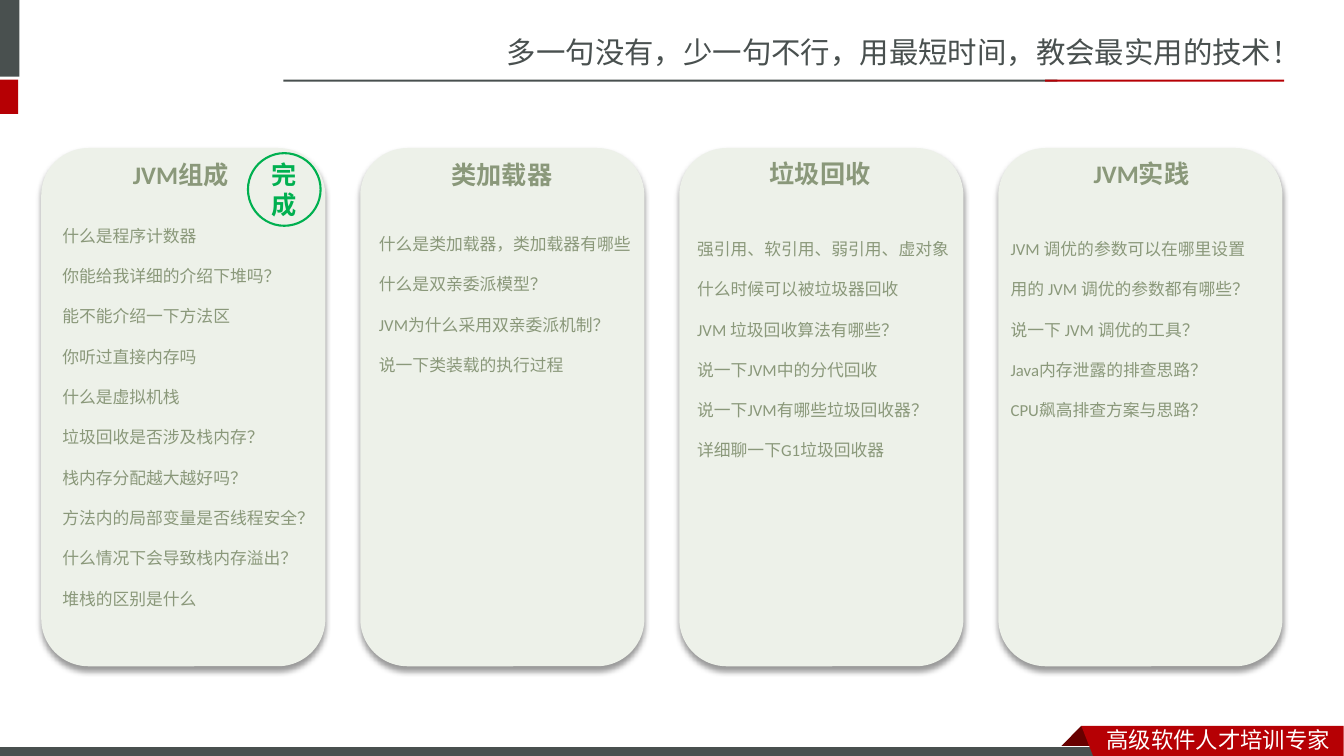
from dataclasses import dataclass

from lxml.etree import SubElement
from pptx import Presentation
from pptx.dml.color import RGBColor
from pptx.enum.shapes import MSO_SHAPE
from pptx.enum.text import MSO_ANCHOR, MSO_AUTO_SIZE, PP_ALIGN
from pptx.oxml.ns import qn
from pptx.shapes.autoshape import Shape
from pptx.slide import Slide
from pptx.util import Cm, Pt

GREY = RGBColor(0x49, 0x50, 0x4F)
RED = RGBColor(0xB6, 0x00, 0x04)
MAROON = RGBColor(0x68, 0x00, 0x00)
WHITE = RGBColor(0xFF, 0xFF, 0xFF)
PALE = RGBColor(0xED, 0xF1, 0xE9)
SAGE = RGBColor(0x8A, 0x98, 0x7A)
GREEN = RGBColor(0x00, 0xB0, 0x50)
SANS = "Noto Sans CJK SC"
LATIN = "Calibri"
PITCH = Pt(28.8)
Box = tuple[float, float, float, float]
Point = tuple[float, float]


@dataclass(frozen=True)
class Style:
    """Look of a run of text."""
    font: str
    size: float
    color: RGBColor
    bold: bool = False


@dataclass(frozen=True)
class Bar:
    """Plain coloured strip."""
    box: Box
    color: RGBColor


@dataclass(frozen=True)
class Topic:
    """Card with a heading and its questions."""
    name: str
    head: Point
    body: Point
    lines: tuple[str, ...]
    font: str = LATIN


BARS = (
    Bar((-0.15, 0, 0.64, 1.93), GREY),
    Bar((-0.15, 2.01, 0.61, 0.86), RED),
    Bar((7.14, 2.01, 19.51, 0.05), GREY),
    Bar((26.34, 2.01, 6.02, 0.05), RED),
)
FOLD = ((27.25, 18.29), (27.81, 18.85), (27.79, 18.87), (26.72, 18.87), (26.7, 18.85))
RIBBON = ((27.25, 18.29), (33.86, 18.29), (33.86, 19.15), (27.58, 19.13))
TOPICS = (
    Topic("JVM组成", (3.1, 3.89), (1.32, 5.05), (
        "什么是程序计数器",
        "你能给我详细的介绍下堆吗？",
        "能不能介绍一下方法区",
        "你听过直接内存吗",
        "什么是虚拟机栈",
        "垃圾回收是否涉及栈内存？",
        "栈内存分配越大越好吗？",
        "方法内的局部变量是否线程安全？",
        "什么情况下会导致栈内存溢出？",
        "堆栈的区别是什么",
    ), "Noto Sans CJK JP"),
    Topic("类加载器", (11.13, 3.89), (9.3, 5.26), (
        "什么是类加载器，类加载器有哪些",
        "什么是双亲委派模型？",
        "JVM为什么采用双亲委派机制？",
        "说一下类装载的执行过程",
    )),
    Topic("垃圾回收", (19.15, 3.86), (17.32, 5.38), (
        "强引用、软引用、弱引用、虚对象什么时候可以被垃圾器回收",
        "JVM 垃圾回收算法有哪些？",
        "说一下JVM中的分代回收",
        "说一下JVM有哪些垃圾回收器？",
        "详细聊一下G1垃圾回收器",
    )),
    Topic("JVM实践", (27.31, 3.86), (25.22, 5.38), (
        "JVM 调优的参数可以在哪里设置",
        "用的 JVM 调优的参数都有哪些？",
        "说一下 JVM 调优的工具？",
        "Java内存泄露的排查思路？",
        "CPU飙高排查方案与思路？",
    )),
)


def place(shape: Shape, box: Box) -> None:
    """Move and size a shape in centimetres."""
    shape.left, shape.top, shape.width, shape.height = (Cm(n) for n in box)


def write(shape: Shape, lines: tuple[str, ...], style: Style, pitch: Pt | None = None,
          align: PP_ALIGN = PP_ALIGN.LEFT, anchor: MSO_ANCHOR = MSO_ANCHOR.MIDDLE) -> None:
    """Fill a shape with one paragraph per line."""
    frame = shape.text_frame
    frame.word_wrap = True
    frame.auto_size = MSO_AUTO_SIZE.NONE
    frame.vertical_anchor = anchor
    for row, line in enumerate(lines):
        para = frame.add_paragraph() if row else frame.paragraphs[0]
        para.alignment = align
        if pitch is not None:
            para.line_spacing = pitch
        run = para.add_run()
        run.text = line
        font = run.font
        font.name, font.size, font.bold = style.font, Pt(style.size), style.bold
        font.color.rgb = style.color
        SubElement(run._r.get_or_add_rPr(), qn("a:ea")).set("typeface", style.font)


def label(slide: Slide, box: Box, lines: tuple[str, ...], style: Style,
          pitch: Pt | None = None, anchor: MSO_ANCHOR = MSO_ANCHOR.MIDDLE) -> None:
    """Add a text box."""
    area = slide.shapes.add_textbox(*(Cm(n) for n in box))
    write(area, lines, style, pitch, anchor=anchor)


def paint(shape: Shape, color: RGBColor) -> Shape:
    """Give a shape a flat fill without line or shadow."""
    shape.shadow.inherit = False
    shape.fill.solid()
    shape.fill.fore_color.rgb = color
    shape.line.fill.background()
    return shape


def block(slide: Slide, kind: MSO_SHAPE, box: Box, color: RGBColor) -> Shape:
    """Add a flat preset shape."""
    return paint(slide.shapes.add_shape(kind, *(Cm(n) for n in box)), color)


def outline(slide: Slide, points: tuple[Point, ...], color: RGBColor) -> None:
    """Add a flat closed polygon."""
    first, *rest = [(Cm(x), Cm(y)) for x, y in points]
    pen = slide.shapes.build_freeform(*first)
    pen.add_line_segments(rest, close=True)
    paint(pen.convert_to_shape(), color)


def shade(shape: Shape) -> None:
    """Drop a soft shadow below a shape."""
    effect = shape._element.spPr.find(qn("a:effectLst"))
    outer = SubElement(effect, qn("a:outerShdw"), blurRad=str(Pt(4)), dist=str(Pt(3)),
                       dir="5400000", algn="t", rotWithShape="0")
    tint = SubElement(outer, qn("a:srgbClr"), val="000000")
    SubElement(tint, qn("a:alpha"), val="40000")


def frame(slide: Slide) -> None:
    """Draw the title, the strips and the footer ribbon."""
    title = slide.shapes.title
    place(title, (12.52, 0.71, 21.36, 1.19))
    write(title, ("多一句没有，少一句不行，用最短时间，教会最实用的技术！",), Style(SANS, 21, GREY))
    for bar in BARS:
        block(slide, MSO_SHAPE.RECTANGLE, bar.box, bar.color)
    outline(slide, FOLD, MAROON)
    base = block(slide, MSO_SHAPE.RECTANGLE, (-0.03, 18.82, 27.94, 0.3), GREY)
    base.line.color.rgb = WHITE
    base.line.width = Pt(0.75)
    outline(slide, RIBBON, RED)
    label(slide, (27.64, 18.16, 6.22, 0.94), ("高级软件人才培训专家",), Style(SANS, 16, WHITE))


def card(slide: Slide, left: float, topic: Topic) -> None:
    """Draw one topic card."""
    shade(block(slide, MSO_SHAPE.ROUNDED_RECTANGLE, (left, 3.73, 7.16, 13.06), PALE))
    label(slide, (*topic.head, 3.89, 1.02), (topic.name,), Style(LATIN, 18, SAGE, True))
    tall = 1.02 * len(topic.lines) + 0.25
    label(slide, (*topic.body, 6.89, tall), topic.lines, Style(topic.font, 12, SAGE),
          PITCH, MSO_ANCHOR.TOP)


def badge(slide: Slide) -> None:
    """Draw the ring that marks a finished topic."""
    ring = block(slide, MSO_SHAPE.OVAL, (6.25, 3.86, 1.83, 1.83), WHITE)
    ring.fill.background()
    ring.line.color.rgb = GREEN
    ring.line.width = Pt(1.5)
    write(ring, ("完成",), Style("Courier New", 18, GREEN, True), align=PP_ALIGN.CENTER)


def main() -> None:
    """Build and save the slide."""
    deck = Presentation()
    deck.slide_width, deck.slide_height = Cm(33.87), Cm(19.05)
    slide = deck.slides.add_slide(deck.slide_layouts[5])
    frame(slide)
    for col, topic in enumerate(TOPICS):
        card(slide, 1.04 + 8.04 * col, topic)
    badge(slide)
    deck.save("out.pptx")


main()
